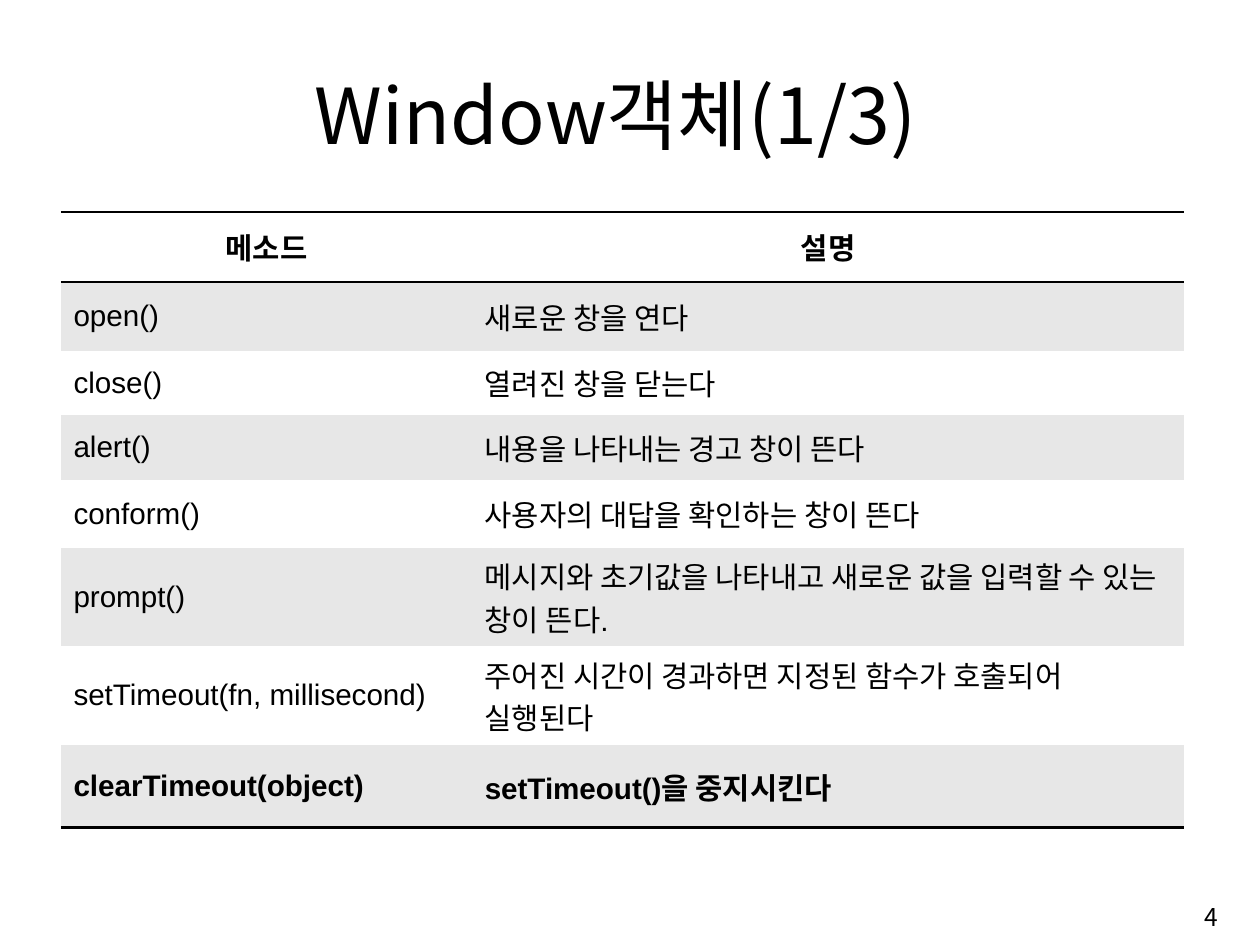
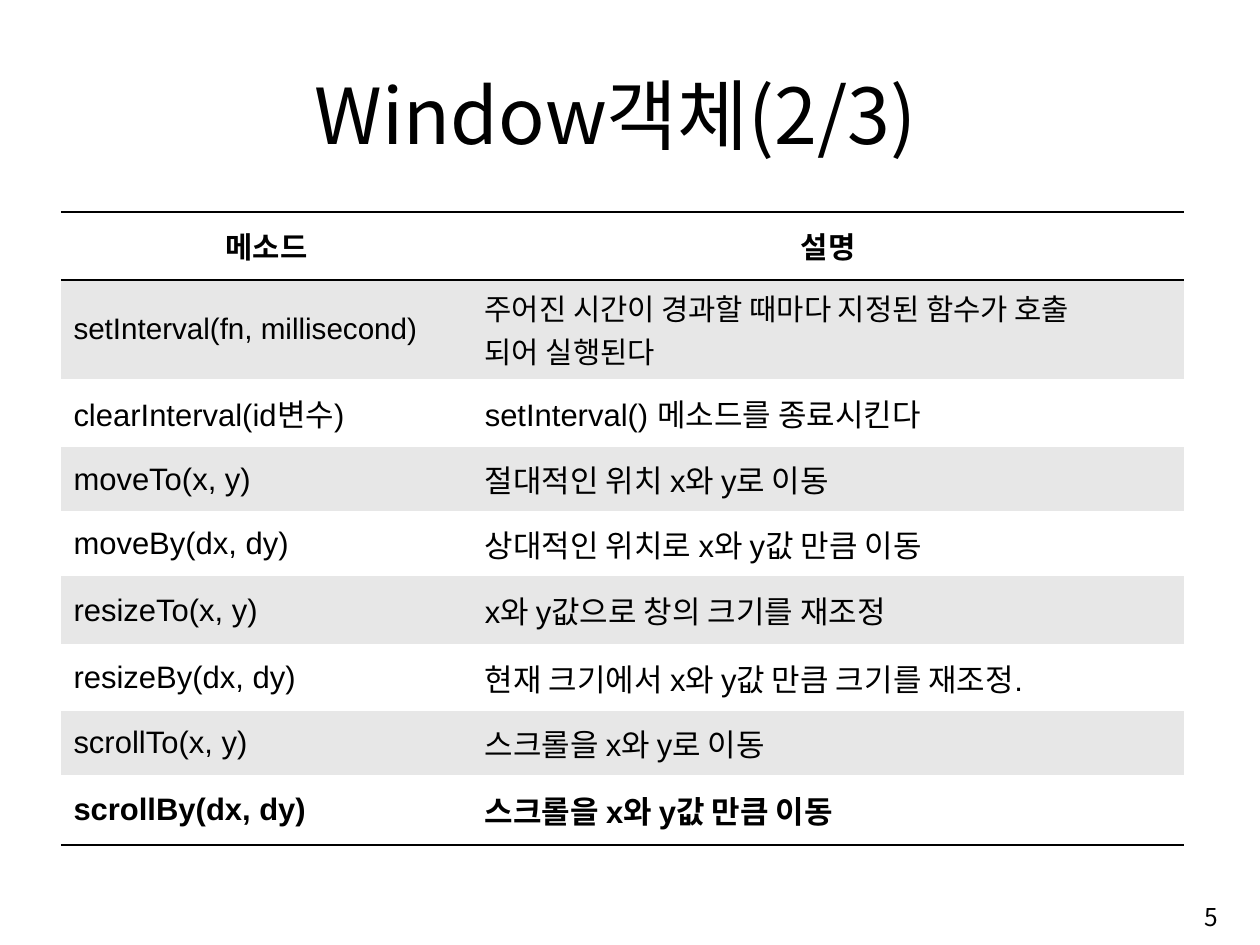
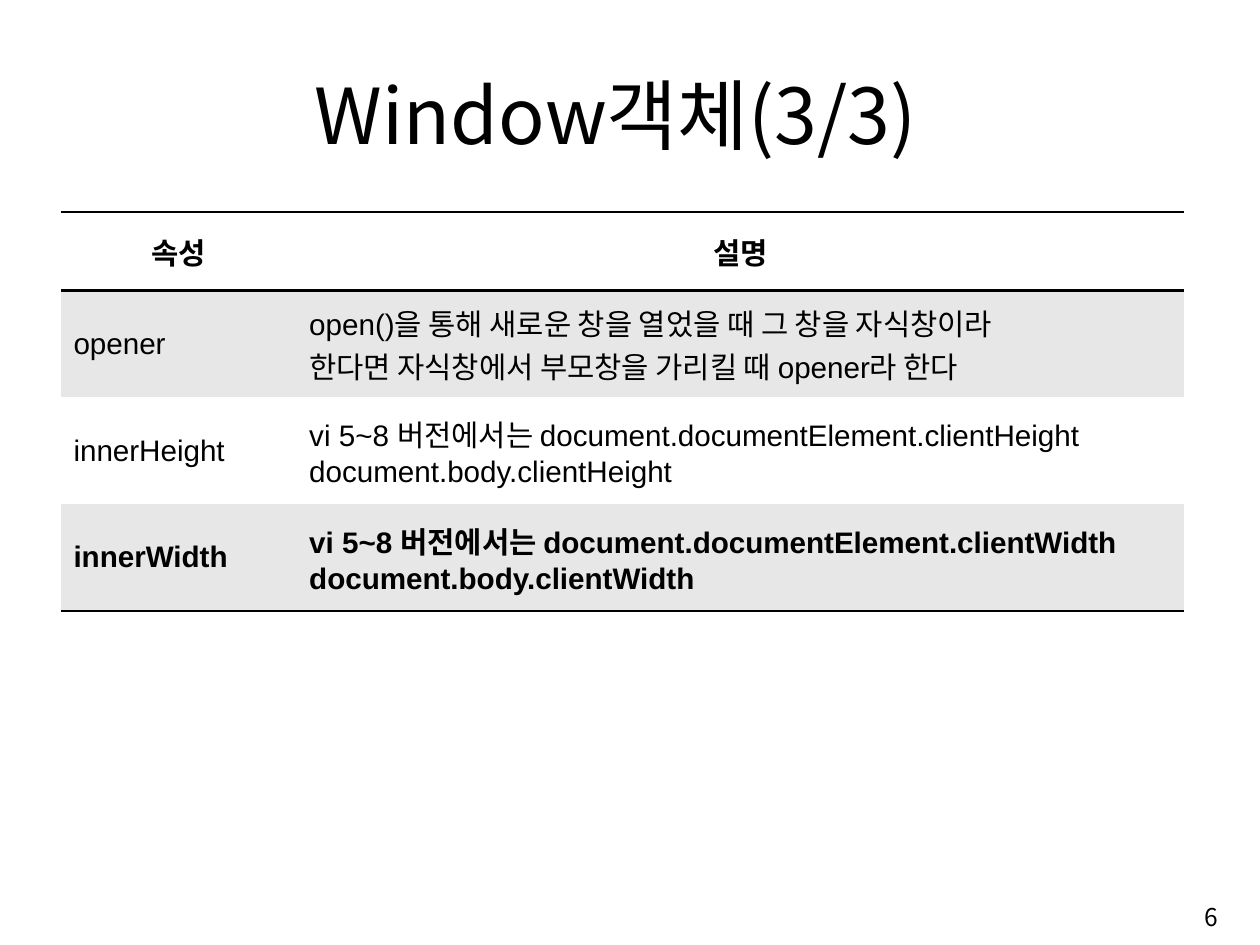
from lxml import etree
from pptx import Presentation
from pptx.dml.color import RGBColor
from pptx.enum import text
from pptx.oxml.ns import qn
from pptx.util import Pt

# Shared style
COLORS = {"ink": "000000", "paper": "FFFFFF", "band": "E7E7E7"}
LATIN, KOREAN = "Arial", "Noto Sans CJK KR"
SLIDE = (935.3, 701.3)
TITLE_BOX = (75.2, 45.4, 764, 77.8)
NUMBER_BOX = (718.6, 658.4, 193, 43.2)
TABLE_POS = (45.2, 157.4)
TABLE_WIDTH = 833.8
PAD_X, PAD_Y = 9.36, 4.5
NUMBER_PAD = 7.2
RULE = 2
PLAIN_TABLE = "{2D5ABB26-0587-4C30-8999-92F81FD0307C}"
CENTER, LEFT, RIGHT = (text.PP_ALIGN.CENTER, text.PP_ALIGN.LEFT,
                       text.PP_ALIGN.RIGHT)

# Rows hold height, name, description and, where it differs, text size
SLIDES = [
    dict(title="Window객체(1/3)", number="4", first_col=305.3,
         head=(52, "메소드", "설명"), rows=[
             (51, "open()", "새로운 창을 연다"),
             (47.5, "close()", "열려진 창을 닫는다"),
             (48.2, "alert()", "내용을 나타내는 경고 창이 뜬다"),
             (50.4, "conform()", "사용자의 대답을 확인하는 창이 뜬다"),
             (73.2, "prompt()", "메시지와 초기값을 나타내고 새로운 값을 입력할 수 있는 창이 뜬다."),
             (73.2, "setTimeout(fn, millisecond)",
              "주어진 시간이 경과하면 지정된 함수가 호출되어\n실행된다"),
             (61.2, "clearTimeout(object)", "setTimeout()을 중지시킨다"),
         ]),
    dict(title="Window객체(2/3)", number="5", first_col=305.3,
         head=(50.4, "메소드", "설명"), rows=[
             (73.2, "setInterval(fn, millisecond)",
              "주어진 시간이 경과할 때마다 지정된 함수가 호출\n되어 실행된다"),
             (51, "clearInterval(id변수)", "setInterval() 메소드를 종료시킨다", 23),
             (47.5, "moveTo(x, y)", "절대적인 위치 x와 y로 이동", 23),
             (48.2, "moveBy(dx, dy)", "상대적인 위치로 x와 y값 만큼 이동", 23),
             (50.4, "resizeTo(x, y)", "x와 y값으로 창의 크기를 재조정", 23),
             (49.7, "resizeBy(dx, dy)", "현재 크기에서 x와 y값 만큼 크기를 재조정.", 23),
             (47.5, "scrollTo(x, y)", "스크롤을 x와 y로 이동", 23),
             (52, "scrollBy(dx, dy)", "스크롤을 x와 y값 만큼 이동", 23),
         ]),
    dict(title="Window객체(3/3)", number="6", first_col=175,
         head=(58.3, "속성", "설명"), rows=[
             (79.2, "opener",
              "open()을 통해 새로운 창을 열었을 때 그 창을 자식창이라\n"
              "한다면 자식창에서 부모창을 가리킬 때 opener라 한다"),
             (79.2, "innerHeight",
              "vi 5~8 버전에서는 document.documentElement.clientHeight "
              "document.body.clientHeight"),
             (79.2, "innerWidth",
              "vi 5~8 버전에서는 document.documentElement.clientWidth "
              "document.body.clientWidth"),
         ]),
]


def rgb(name):
    return RGBColor.from_string(COLORS[name])


def write(tf, words, size, align, latin=KOREAN, bold=False):
    """Fill a text frame; each line of words is a paragraph."""
    tf.text = words
    for p in tf.paragraphs:
        p.alignment = align
        f = p.font
        f.size, f.bold = Pt(size), bold
        f.color.rgb = rgb("ink")
        f.name = latin
        props = p._p.get_or_add_pPr().find(qn("a:defRPr"))
        etree.SubElement(props, qn("a:ea"), typeface=KOREAN)


def add_text(s, box, words, size, align, pad=0):
    tf = s.shapes.add_textbox(*map(Pt, box)).text_frame
    tf.word_wrap = True
    tf.margin_left = tf.margin_right = Pt(pad)
    tf.margin_top = tf.margin_bottom = 0
    tf.vertical_anchor = text.MSO_ANCHOR.MIDDLE
    write(tf, words, size, align)


def add_rules(cell, sides):
    """Draw horizontal rules on the given sides (T, B) of a cell."""
    tc_pr = cell._tc.get_or_add_tcPr()
    for i, side in enumerate(sides):
        ln = etree.Element(qn("a:ln" + side), w=str(Pt(RULE)))
        fill = etree.SubElement(ln, qn("a:solidFill"))
        etree.SubElement(fill, qn("a:srgbClr"), val=COLORS["ink"])
        tc_pr.insert(i, ln)


def add_method_table(s, pos, width, first_col, head, rows):
    lines = [head, *rows]
    last = len(rows)
    height = sum(line[0] for line in lines)
    frame = s.shapes.add_table(len(lines), 2, *map(Pt, (*pos, width, height)))
    table = frame.table
    table.first_row = table.horz_banding = False
    table._tbl.tblPr.find(qn("a:tableStyleId")).text = PLAIN_TABLE
    for col, w in zip(table.columns, (first_col, width - first_col)):
        col.width = Pt(w)

    for i, (h, name, description, *size) in enumerate(lines):
        table.rows[i].height = Pt(h)
        is_head = i == 0
        for j, words in enumerate((name, description)):
            cell = table.cell(i, j)
            cell.margin_left = cell.margin_right = Pt(PAD_X)
            cell.margin_top = cell.margin_bottom = Pt(PAD_Y)
            cell.vertical_anchor = text.MSO_ANCHOR.MIDDLE
            cell.fill.solid()
            cell.fill.fore_color.rgb = rgb("band" if i % 2 else "paper")
            add_rules(cell, "TB" if is_head else "B" if i == last else "")
            write(cell.text_frame, words, size[0] if size else 22,
                  CENTER if is_head else LEFT,
                  KOREAN if is_head else LATIN, bold=i in (0, last))


def add_slide(prs, title, number, **table):
    s = prs.slides.add_slide(prs.slide_layouts[6])
    add_text(s, TITLE_BOX, title, 57.2, CENTER)
    add_text(s, NUMBER_BOX, number, 18.2, RIGHT, pad=NUMBER_PAD)
    add_method_table(s, TABLE_POS, TABLE_WIDTH, **table)


def main():
    prs = Presentation()
    prs.slide_width, prs.slide_height = map(Pt, SLIDE)
    for content in SLIDES:
        add_slide(prs, **content)
    prs.save("out.pptx")


if __name__ == "__main__":
    main()
